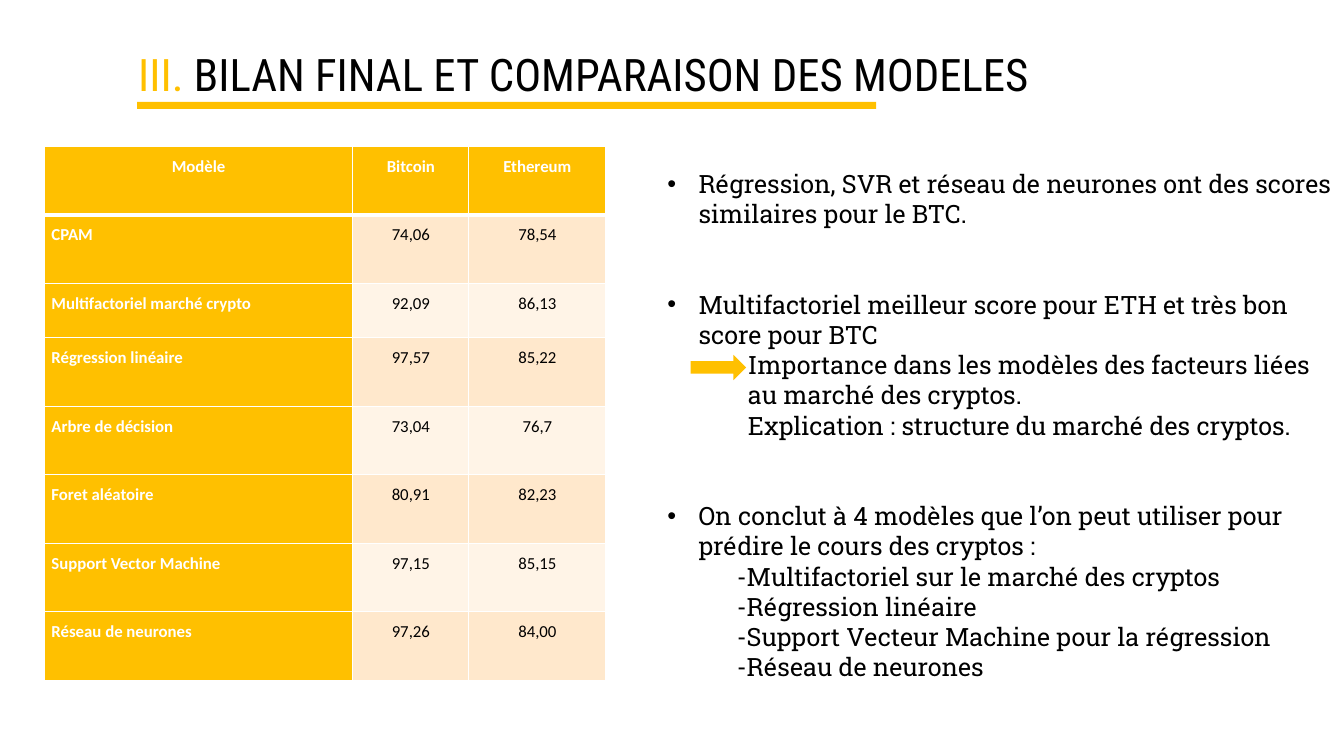
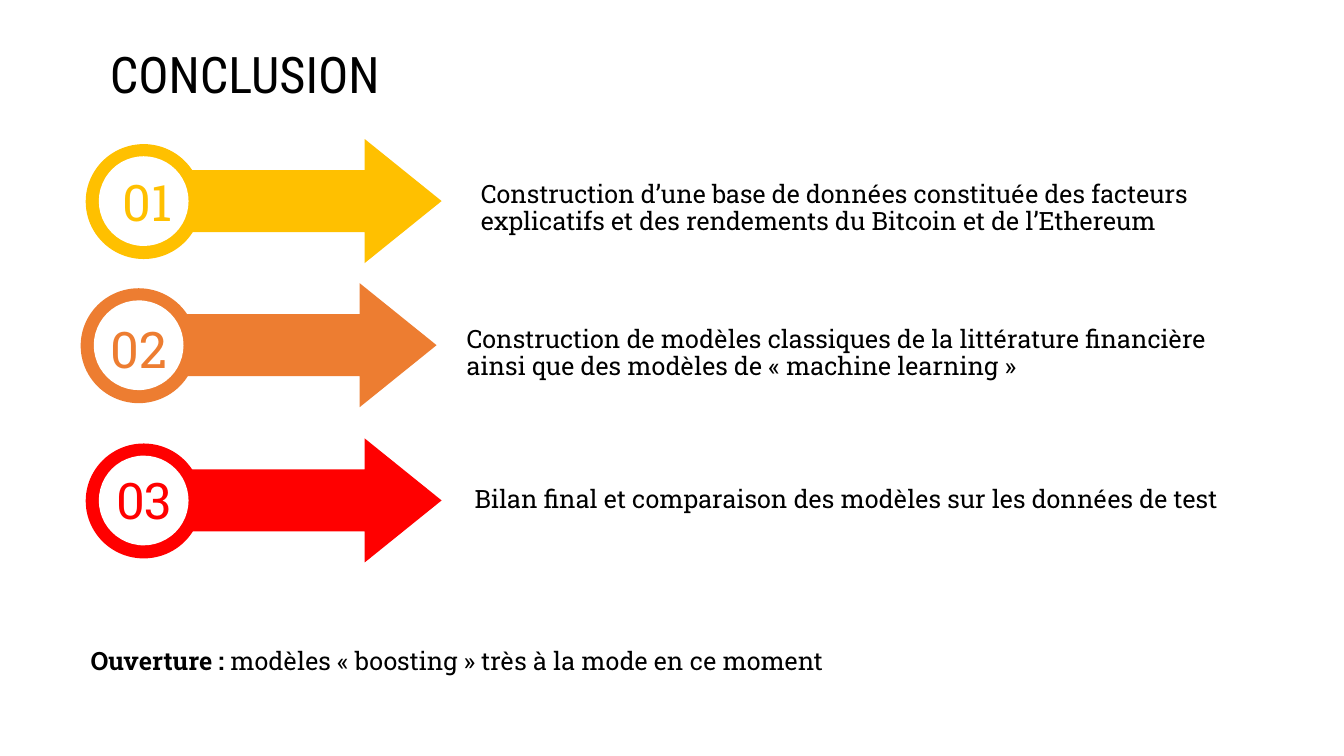
"""Builds the model comparison and conclusion slides."""
import lxml.etree
import pptx
import pptx.dml.color
import pptx.enum.shapes
import pptx.enum.text
import pptx.oxml.ns
import pptx.util

Inches = pptx.util.Inches
Pt = pptx.util.Pt
RGBColor = pptx.dml.color.RGBColor
Shape = pptx.enum.shapes.MSO_SHAPE
Align = pptx.enum.text.PP_ALIGN
Anchor = pptx.enum.text.MSO_ANCHOR
qn = pptx.oxml.ns.qn

GOLD = RGBColor(0xFF, 0xC0, 0x00)
ORANGE = RGBColor(0xED, 0x7D, 0x31)
RED = RGBColor(0xFF, 0x00, 0x00)
BLACK = RGBColor(0x00, 0x00, 0x00)
WHITE = RGBColor(0xFF, 0xFF, 0xFF)
BANDS = (RGBColor(0xFF, 0xE8, 0xCC), RGBColor(0xFF, 0xF4, 0xE7))

TITLE_FONT = "Roboto Condensed"
BODY_FONT = "Roboto Slab"
TABLE_FONT = "Calibri"

SCORES = [
    ("Modèle", "Bitcoin", "Ethereum"),
    ("CPAM", "74,06", "78,54"),
    ("Multifactoriel marché crypto", "92,09", "86,13"),
    ("Régression linéaire", "97,57", "85,22"),
    ("Arbre de décision", "73,04", "76,7"),
    ("Foret aléatoire", "80,91", "82,23"),
    ("Support Vector Machine", "97,15", "85,15"),
    ("Réseau de neurones", "97,26", "84,00"),
]
COLUMN_WIDTHS = (3.06, 1.15, 1.36)
ROW_HEIGHTS = (0.68, 0.68, 0.54, 0.68, 0.68, 0.68, 0.68, 0.68)

BULLET, DETAIL, DASH = 0.31, 0.8, 0.69
FINDINGS = [
    (BULLET, ["Régression, SVR et réseau de neurones ont des scores",
              "similaires pour le BTC."]),
    (BULLET, ["Multifactoriel meilleur score pour ETH et très bon",
              "score pour BTC"]),
    (DETAIL, ["Importance dans les modèles des facteurs liées",
              "au marché des cryptos."]),
    (DETAIL, ["Explication : structure du marché des cryptos."]),
    (BULLET, ["On conclut à 4 modèles que l’on peut utiliser pour",
              "prédire le cours des cryptos :"]),
    (DASH, ["-Multifactoriel sur le marché des cryptos"]),
    (DASH, ["-Régression linéaire"]),
    (DASH, ["-Support Vecteur Machine pour la régression"]),
    (DASH, ["-Réseau de neurones"]),
]

STEPS = [
    ("01", GOLD, (0.85, 1.38), (1.02, 1.62), (4.67, 1.7),
     "Construction d’une base de données constituée des facteurs "
     "explicatifs et des rendements du Bitcoin et de l’Ethereum"),
    ("02", ORANGE, (0.8, 2.81), (0.94, 3.07), (4.53, 3.14),
     "Construction de modèles classiques de la littérature financière "
     "ainsi que des modèles de « machine learning »"),
    ("03", RED, (0.85, 4.35), (0.99, 4.57), (4.61, 4.73),
     "Bilan final et comparaison des modèles sur les données de test"),
]


class Deck:
    """Holds the shared style and the current slide."""

    def __init__(self):
        self.presentation = pptx.Presentation()
        self.presentation.slide_width = Inches(13.33)
        self.presentation.slide_height = Inches(7.5)
        self.slide = None

    def run(self, paragraph, text, size, color, font=BODY_FONT, bold=False):
        """Add one formatted run."""
        run = paragraph.add_run()
        run.text = text
        run.font.size = Pt(size)
        run.font.name = font
        run.font.bold = bold
        run.font.color.rgb = color

    def add_slide(self, left, top, width, size, parts):
        """Start a slide whose title is made of coloured parts."""
        layout = self.presentation.slide_layouts[5]
        self.slide = self.presentation.slides.add_slide(layout)
        title = self.slide.shapes.title
        title.left, title.top = Inches(left), Inches(top)
        title.width, title.height = Inches(width), Inches(0.71)
        frame = title.text_frame
        frame.auto_size = pptx.enum.text.MSO_AUTO_SIZE.NONE
        frame.vertical_anchor = Anchor.TOP
        frame.paragraphs[0].alignment = Align.LEFT
        for text, color in parts:
            self.run(frame.paragraphs[0], text, size, color, TITLE_FONT)

    def shape(self, kind, left, top, width, height, color, group=None):
        """Add a flat preset shape to the slide or to a group."""
        shapes = (group or self.slide).shapes
        shape = shapes.add_shape(
            kind, Inches(left), Inches(top), Inches(width), Inches(height))
        shape.shadow.inherit = False
        shape.fill.solid()
        shape.fill.fore_color.rgb = color
        shape.line.fill.background()
        return shape

    def frame(self, left, top, width, height):
        """Add a wrapping text box and return its frame."""
        box = self.slide.shapes.add_textbox(
            Inches(left), Inches(top), Inches(width), Inches(height))
        box.text_frame.word_wrap = True
        return box.text_frame

    def label(self, left, top, width, height, parts, size=18, color=BLACK,
              align=Align.LEFT, anchor=Anchor.TOP):
        """Add a tight paragraph made of (text, bold) parts."""
        frame = self.frame(left, top, width, height)
        frame.margin_left = frame.margin_right = Inches(0.1)
        frame.margin_top = frame.margin_bottom = Inches(0.1)
        frame.vertical_anchor = anchor
        paragraph = frame.paragraphs[0]
        paragraph.alignment = align
        paragraph.line_spacing = 0.9
        for text, bold in parts:
            self.run(paragraph, text, size, color, bold=bold)

    def findings(self, left, top, width, height, items):
        """Add bulleted findings with indented details."""
        frame = self.frame(left, top, width, height)
        for index, (indent, lines) in enumerate(items):
            paragraph = frame.add_paragraph() if index else frame.paragraphs[0]
            properties = paragraph._p.get_or_add_pPr()
            properties.set("marL", str(Inches(indent)))
            if indent == BULLET:
                properties.set("indent", str(-Inches(indent)))
                if index:
                    paragraph.space_before = Pt(43)
                font = lxml.etree.SubElement(properties, qn("a:buFont"))
                font.set("typeface", "Arial")
                bullet = lxml.etree.SubElement(properties, qn("a:buChar"))
                bullet.set("char", "•")
            for number, line in enumerate(lines):
                if number:
                    paragraph.add_line_break()
                self.run(paragraph, line, 18, BLACK)

    def border(self, cell, side, width):
        """Draw one white side of a cell."""
        line = lxml.etree.SubElement(
            cell._tc.get_or_add_tcPr(), qn("a:ln" + side), w=str(Pt(width)))
        fill = lxml.etree.SubElement(line, qn("a:solidFill"))
        lxml.etree.SubElement(fill, qn("a:srgbClr"), val=str(WHITE))

    def table(self, left, top, rows, widths, heights):
        """Add a table with a gold header row and first column."""
        table = self.slide.shapes.add_table(
            len(rows), len(widths), Inches(left), Inches(top),
            Inches(sum(widths)), Inches(sum(heights))).table
        for column, width in zip(table.columns, widths):
            column.width = Inches(width)
        for row, height in zip(table.rows, heights):
            row.height = Inches(height)
        for r, values in enumerate(rows):
            for c, value in enumerate(values):
                cell = table.cell(r, c)
                heading = r == 0 or c == 0
                cell.margin_left = cell.margin_right = Inches(0.07)
                cell.margin_top = cell.margin_bottom = 0
                for side in "LRTB":
                    thick = (r, side) in ((0, "B"), (1, "T"))
                    self.border(cell, side, 3 if thick else 1)
                cell.fill.solid()
                cell.fill.fore_color.rgb = GOLD if heading else BANDS[(r - 1) % 2]
                paragraph = cell.text_frame.paragraphs[0]
                paragraph.alignment = (
                    Align.JUSTIFY if r and c == 0 else Align.CENTER)
                paragraph.line_spacing = 1.5
                self.run(paragraph, value, 12, WHITE if heading else BLACK,
                         TABLE_FONT, heading)

    def step(self, number, color, origin, number_at, text_at, text):
        """Add a numbered ring with its arrow and description."""
        left, top = origin
        group = self.slide.shapes.add_group_shape()
        arrow = self.shape(Shape.RIGHT_ARROW, left + 0.72, top, 2.81, 1.23,
                           color, group)
        arrow.adjustments[0], arrow.adjustments[1] = 0.5, 0.62
        self.shape(Shape.OVAL, left, top + 0.05, 1.15, 1.14, color, group)
        self.shape(Shape.OVAL, left + 0.13, top + 0.17, 0.89, 0.89, WHITE, group)
        self.label(*number_at, 0.88, 0.79, [(number, False)], 36, color,
                   Align.CENTER, Anchor.BOTTOM)
        self.label(*text_at, 7.88, 0.64, [(text, False)])


def main():
    """Build and save both slides."""
    deck = Deck()

    deck.add_slide(1.27, 0.41, 11.21, 32, [
        ("III. ", GOLD), ("BILAN FINAL ET COMPARAISON DES MODELES", BLACK)])
    deck.shape(Shape.RECTANGLE, 1.36, 1.01, 7.33, 0.07, GOLD)
    deck.table(0.44, 1.45, SCORES, COLUMN_WIDTHS, ROW_HEIGHTS)
    deck.findings(6.52, 1.62, 6.81, 5.55, FINDINGS)
    deck.shape(Shape.RIGHT_ARROW, 6.85, 3.52, 0.55, 0.25, GOLD)

    deck.add_slide(0.99, 0.38, 10.76, 36, [("CONCLUSION", BLACK)])
    for step in STEPS:
        deck.step(*step)
    deck.label(0.8, 6.34, 7.88, 0.64, [
        ("Ouverture : ", True),
        ("modèles « boosting » très à la mode en ce moment", False)])

    deck.presentation.save("out.pptx")


if __name__ == "__main__":
    main()
